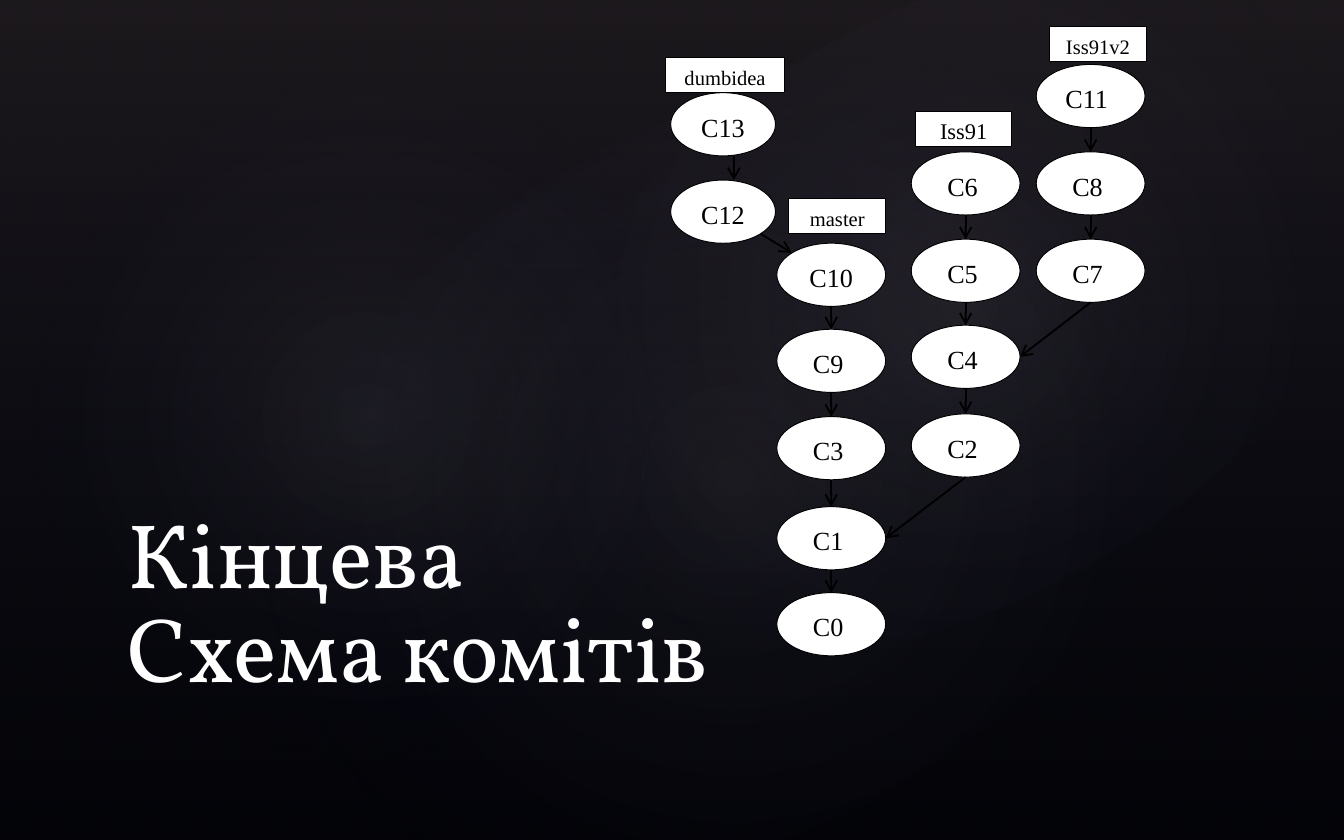
import pptx
import pptx.util
from pptx.dml.color import RGBColor
from pptx.enum.shapes import MSO_CONNECTOR, MSO_SHAPE
from pptx.enum.text import MSO_ANCHOR, MSO_AUTO_SIZE, PP_ALIGN
from pptx.oxml import parse_xml
from pptx.oxml.ns import nsdecls, qn
from lxml import etree

Inches, Pt = pptx.util.Inches, pptx.util.Pt
BLACK = RGBColor(0, 0, 0)
WHITE = RGBColor(255, 255, 255)
SERIF = "Times New Roman"
TITLE = "Кінцева Схема комітів"
NODE_H, TAG_H = 0.47, 0.26

# left, width, shift of arrows from the middle, commits as (name, top)
BRANCHES = [
    (7.71, 0.81, 0, [("C11", 0.48), ("C8", 1.13), ("C7", 1.78)]),
    (6.78, 0.81, 0, [("C6", 1.13), ("C5", 1.78), ("C4", 2.42), ("C2", 3.08)]),
    (5.78, 0.81, 0, [("C10", 1.81), ("C9", 2.45), ("C3", 3.1),
                     ("C1", 3.77), ("C0", 4.41)]),
    (4.99, 0.78, 0.08, [("C13", 0.69), ("C12", 1.34)]),
]
CENTRED = {"C10", "C12", "C13"}
# child to parent on another branch: bottom of one to right side of the other
MERGES = [("C2", "C1"), ("C7", "C4")]
FORK = (5.66, 1.74, 5.89, 1.88)
# name, left, top, width, text size
TAGS = [
    ("dumbidea", 4.95, 0.43, 0.89, 11),
    ("master", 5.87, 1.48, 0.72, 11),
    ("Iss91", 6.81, 0.83, 0.72, 12),
    ("Iss91v2", 7.81, 0.2, 0.72, 11),
]
# left, top, width, height, turn, opacity in the middle
GLOWS = [
    (1.5, 0.95, 7.92, 5.2, 328.7, 7),
    (0.2, 0.65, 5.05, 4.9, 294.3, 8),
    (3.58, 0.11, 7.09, 4.33, 328.7, 8),
]
LINEAR = '<a:lin ang="5400000" scaled="0"/>'
RADIAL = ('<a:path path="circle"><a:fillToRect l="50000" t="50000" '
          'r="50000" b="50000"/></a:path>')


def put(slide, kind, left, top, width, height):
    shape = slide.shapes.add_shape(
        kind, Inches(left), Inches(top), Inches(width), Inches(height))
    shape.shadow.inherit = False
    return shape


def blend(shape, stops, way):
    """Fill with a see-through gradient; stops are (place, colour, opacity)."""
    shape.line.fill.background()
    marks = "".join(
        f'<a:gs pos="{at * 1000}"><a:srgbClr val="{tone}">'
        f'<a:alpha val="{alpha * 1000}"/></a:srgbClr></a:gs>'
        for at, tone, alpha in stops)
    fill = parse_xml(f'<a:gradFill {nsdecls("a")} rotWithShape="1">'
                     f'<a:gsLst>{marks}</a:gsLst>{way}</a:gradFill>')
    shape._element.spPr.find(qn("a:prstGeom")).addnext(fill)


def label(shape, text, size, align, inset=0.1):
    shape.fill.solid()
    shape.fill.fore_color.rgb = WHITE
    shape.line.color.rgb = BLACK
    shape.line.width = Pt(0.5)
    frame = shape.text_frame
    frame.word_wrap = True
    frame.vertical_anchor = MSO_ANCHOR.MIDDLE
    frame.margin_left = Inches(inset)
    para = frame.paragraphs[0]
    para.alignment = align
    para.line_spacing = 1.15
    para.space_after = Pt(10)
    write(para, text, size, SERIF, BLACK)


def write(para, text, size, face, color):
    run = para.add_run()
    run.text = text
    run.font.size = Pt(size)
    run.font.name = face
    run.font.color.rgb = color


def arrow(slide, x1, y1, x2, y2):
    line = slide.shapes.add_connector(
        MSO_CONNECTOR.STRAIGHT, Inches(x1), Inches(y1), Inches(x2), Inches(y2))
    line.line.color.rgb = BLACK
    line.line.width = Pt(1)
    etree.SubElement(line.line._get_or_add_ln(), qn("a:tailEnd"), type="arrow")
    etree.SubElement(line._element.spPr, qn("a:effectLst"))


def backdrop(slide):
    slide.background.fill.solid()
    slide.background.fill.fore_color.rgb = BLACK
    shade = put(slide, MSO_SHAPE.RECTANGLE, 0, 0, 10, 6.25)
    blend(shade, [(0, "504652", 36), (100, "242852", 10)], LINEAR)
    for *box, turn, alpha in GLOWS:
        glow = put(slide, MSO_SHAPE.OVAL, *box)
        glow.rotation = turn
        blend(glow, [(0, "C4BCC6", alpha), (58, "242852", 0)], RADIAL)


def heading(slide):
    title = slide.shapes.title
    title.left, title.top = Inches(0.85), Inches(4.44)
    title.width, title.height = Inches(4.61), Inches(0.83)
    slide.shapes._spTree.append(title._element)  # in front of the backdrop
    frame = title.text_frame
    frame.word_wrap = True
    frame.auto_size = MSO_AUTO_SIZE.NONE
    frame.vertical_anchor = MSO_ANCHOR.BOTTOM
    para = frame.paragraphs[0]
    para.alignment = PP_ALIGN.LEFT
    para.line_spacing = 0.86
    write(para, TITLE, 49, "Vollkorn", WHITE)


def graph(slide):
    spots = {}
    for left, width, shift, commits in BRANCHES:
        mid = left + width / 2 + shift
        for name, top in commits:
            spots[name] = (left, top, width)
            node = put(slide, MSO_SHAPE.OVAL, left, top, width, NODE_H)
            align = PP_ALIGN.CENTER if name in CENTRED else PP_ALIGN.LEFT
            label(node, name, 14, align, 0.15 if len(name) == 2 else 0.1)
        for (_, top), (_, below) in zip(commits, commits[1:]):
            arrow(slide, mid, top + NODE_H, mid, below)
    for child, parent in MERGES:
        left, top, width = spots[child]
        goal, level, span = spots[parent]
        arrow(slide, left + width / 2, top + NODE_H,
              goal + span, level + NODE_H / 2)
    arrow(slide, *FORK)
    for name, left, top, width, size in TAGS:
        tag = put(slide, MSO_SHAPE.RECTANGLE, left, top, width, TAG_H)
        label(tag, name, size, PP_ALIGN.CENTER)


def main():
    deck = pptx.Presentation()
    deck.slide_width, deck.slide_height = Inches(10), Inches(6.25)
    slide = deck.slides.add_slide(deck.slide_layouts[5])
    backdrop(slide)
    heading(slide)
    graph(slide)
    deck.save("out.pptx")


if __name__ == "__main__":
    main()
